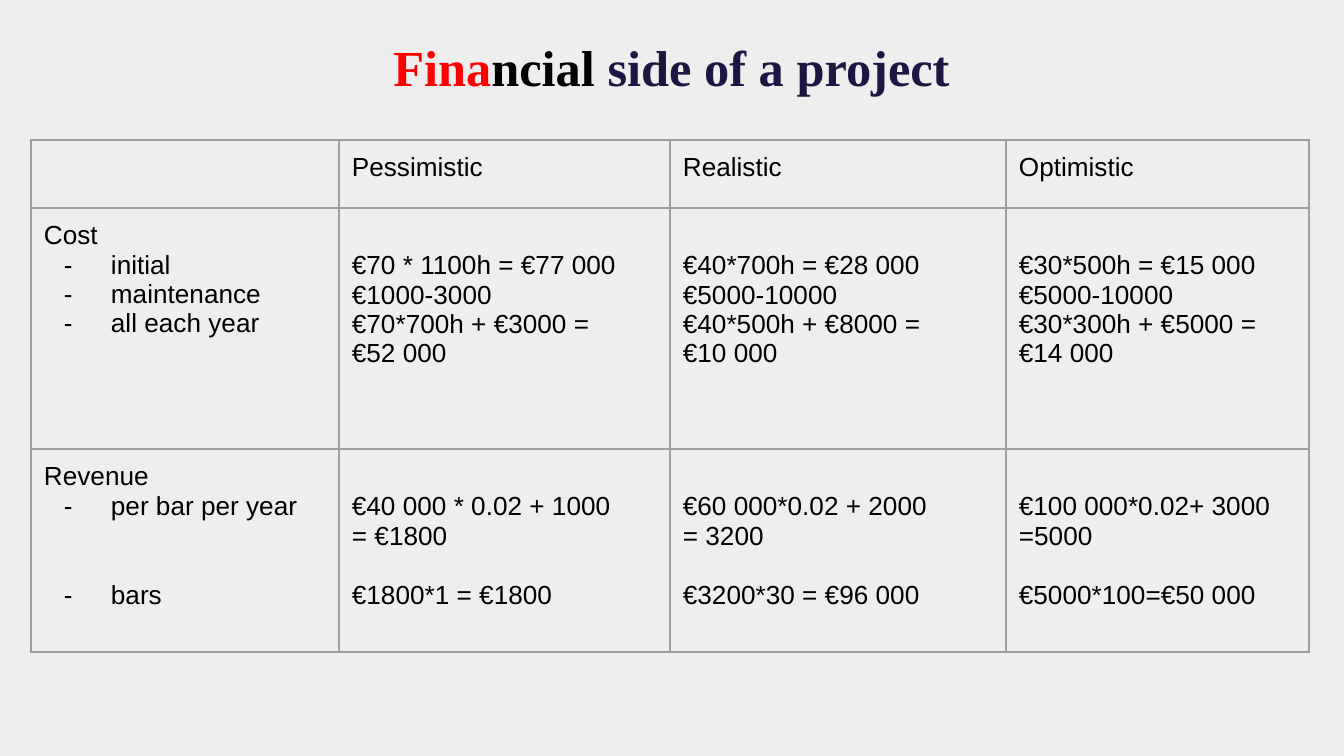
from lxml.etree import SubElement
from pptx import Presentation
from pptx.dml.color import RGBColor
from pptx.enum.text import MSO_ANCHOR as Anchor, MSO_AUTO_SIZE as AutoSize, PP_ALIGN as Align
from pptx.oxml import parse_xml
from pptx.oxml.ns import nsdecls, qn
from pptx.util import Emu, Pt

WIDTH, HEIGHT = 1344, 756
SCALE = 9144000 / WIDTH
MARGIN, LINE = 13, 30
INDENT, HANGING = 67, 47
BLACK, BORDER = "000000", "9E9E9E"
COLUMNS = (308, 331, 336, 303)
ROWS = (68, 241, 203)

TITLE = (("Fina", "FF0000"), ("ncial", BLACK), (" side of a project", "1B1642"))
SCENARIOS = ("Pessimistic", "Realistic", "Optimistic")
COST = (
    ("Cost", "initial", "maintenance", "all each year"),
    ("€70 * 1100h = €77 000", "€1000-3000", "€70*700h + €3000 =", "€52 000"),
    ("€40*700h = €28 000", "€5000-10000", "€40*500h + €8000 =", "€10 000"),
    ("€30*500h = €15 000", "€5000-10000", "€30*300h + €5000 =", "€14 000"),
)
REVENUE = (
    ("Revenue", "per bar per year", "bars"),
    ("€40 000 * 0.02 + 1000", "= €1800", "€1800*1 = €1800"),
    ("€60 000*0.02 + 2000", "= 3200", "€3200*30 = €96 000"),
    ("€100 000*0.02+ 3000", "=5000", "€5000*100=€50 000"),
)


def px(length):
    """Turn pixels into EMU."""
    return Emu(round(length * SCALE))


def color(value):
    """Turn a hex string into a colour."""
    return RGBColor.from_string(value)


def style_run(run, font, size, value, bold=False):
    """Set the font of one run."""
    run.font.name, run.font.size, run.font.bold = font, Pt(size), bold
    run.font.color.rgb = color(value)


def add_title(slide, left, top, width, height):
    """Place the three-coloured title in its placeholder."""
    title = slide.shapes.title
    title.left, title.top, title.width, title.height = map(px, (left, top, width, height))
    frame = title.text_frame
    frame.word_wrap, frame.auto_size = True, AutoSize.NONE
    frame.vertical_anchor = Anchor.MIDDLE
    frame.margin_left = frame.margin_right = frame.margin_top = frame.margin_bottom = px(MARGIN)
    paragraph = frame.paragraphs[0]
    paragraph.alignment = Align.CENTER
    for text, value in TITLE:
        run = paragraph.add_run()
        run.text = text
        style_run(run, "Times New Roman", 27, value, True)


def add_dash(paragraph):
    """Give a paragraph a hanging dash bullet."""
    properties = paragraph._p.get_or_add_pPr()
    properties.set("marL", str(px(INDENT)))
    properties.set("indent", str(-px(HANGING)))
    bullet_color = SubElement(properties, qn("a:buClr"))
    SubElement(bullet_color, qn("a:srgbClr"), val=BLACK)
    SubElement(properties, qn("a:buFont"), typeface="Arial")
    SubElement(properties, qn("a:buChar"), char="-")


def format_cell(cell):
    """Clear the fill of a cell and draw its four borders."""
    cell.margin_left = cell.margin_right = cell.margin_top = cell.margin_bottom = px(MARGIN)
    cell.vertical_anchor = Anchor.TOP
    cell.fill.background()
    properties = cell._tc.get_or_add_tcPr()
    for index, side in enumerate(("lnL", "lnR", "lnT", "lnB")):
        properties.insert(index, parse_xml(
            f'<a:{side} {nsdecls("a")} w="{Pt(0.75)}"><a:solidFill>'
            f'<a:srgbClr val="{BORDER}"/></a:solidFill></a:{side}>'))


def fill_cell(cell, lines, dashed=False, last_gap=0):
    """Write lines in a cell, with a gap of some lines before the last."""
    cell.text_frame.text = "\n".join(lines)
    paragraphs = cell.text_frame.paragraphs
    if last_gap:
        paragraphs[-1].space_before = px(last_gap * LINE)
    for index, paragraph in enumerate(paragraphs):
        style_run(paragraph.runs[0], "Arial", 14, BLACK)
        if dashed and index:
            add_dash(paragraph)


def add_finance_table(slide, left, top):
    """Place the table of costs and revenues by scenario."""
    box = map(px, (left, top, sum(COLUMNS), sum(ROWS)))
    table = slide.shapes.add_table(len(ROWS), len(COLUMNS), *box).table
    table.first_row = table.horz_banding = False
    for column, width in zip(table.columns, COLUMNS):
        column.width = px(width)
    for row, height in zip(table.rows, ROWS):
        row.height = px(height)
    for cell in table.iter_cells():
        format_cell(cell)
    for column, scenario in enumerate(SCENARIOS, 1):
        fill_cell(table.cell(0, column), [scenario])
    for row, (group, gap) in enumerate(((COST, 0), (REVENUE, 1)), 1):
        fill_cell(table.cell(row, 0), group[0], True, 2 * gap)
        for column, lines in enumerate(group[1:], 1):
            cell = table.cell(row, column)
            cell.margin_top = px(MARGIN + LINE)
            fill_cell(cell, lines, last_gap=gap)


def main():
    """Build and save the slide."""
    presentation = Presentation()
    presentation.slide_width, presentation.slide_height = px(WIDTH), px(HEIGHT)
    slide = presentation.slides.add_slide(presentation.slide_layouts.get_by_name("Title Only"))
    slide.background.fill.solid()
    slide.background.fill.fore_color.rgb = color("EEEEEE")
    add_title(slide, 370, 10, 603, 112)
    add_finance_table(slide, 31, 140)
    presentation.save("out.pptx")


if __name__ == "__main__":
    main()
